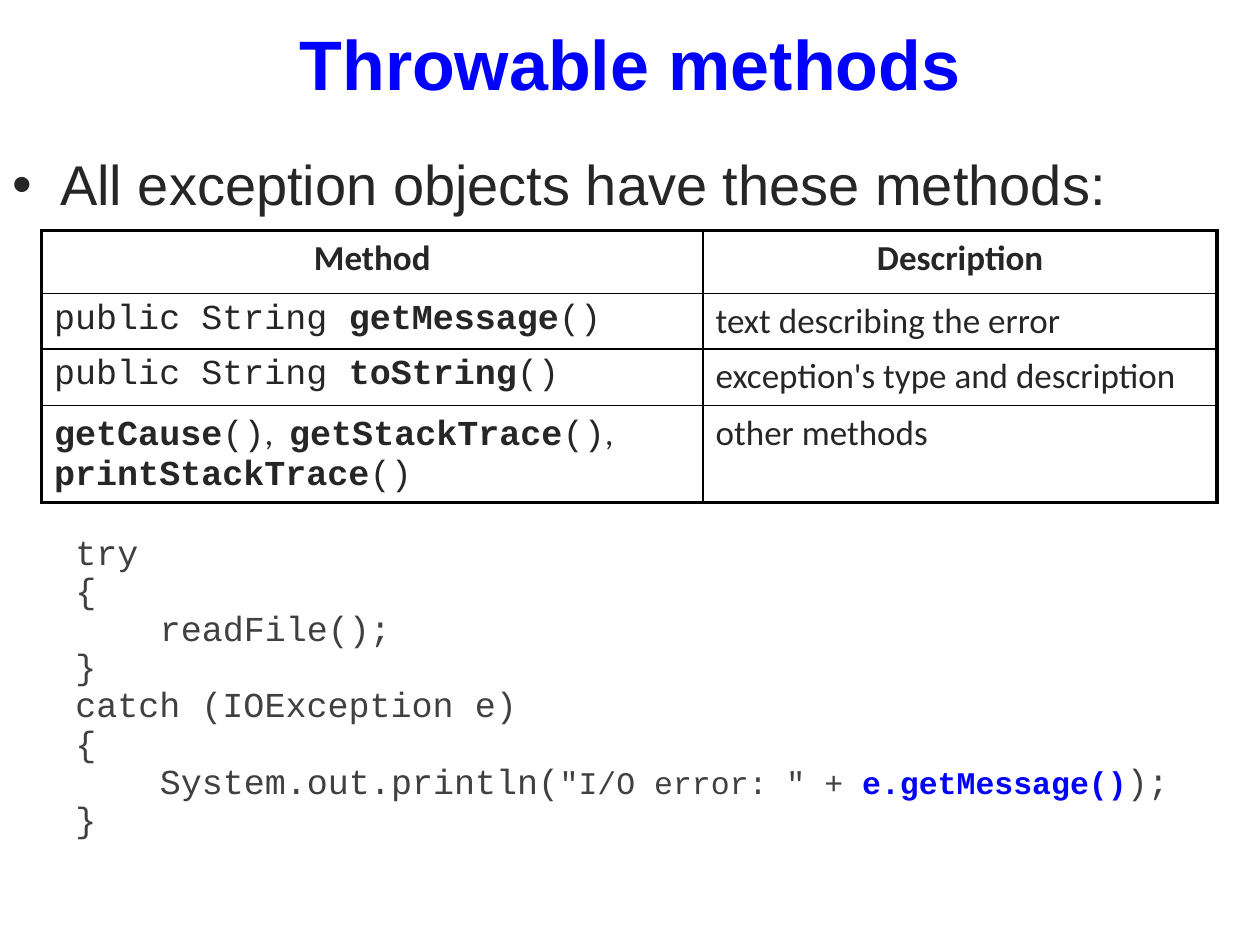
from lxml import etree
from pptx import Presentation
from pptx.dml.color import RGBColor
from pptx.enum.text import MSO_ANCHOR, PP_ALIGN
from pptx.oxml.ns import qn
from pptx.util import Inches, Pt

CENTER, LEFT = PP_ALIGN.CENTER, PP_ALIGN.LEFT
MIDDLE = MSO_ANCHOR.MIDDLE
BLUE, INK, GREY, BLACK = "0000FF", "262626", "404040", "000000"
SANS, TABLE_FONT, MONO = "Arial", "Calibri", "Courier New"

deck = Presentation()
deck.slide_width, deck.slide_height = Inches(10), Inches(7.5)
slide = deck.slides.add_slide(deck.slide_layouts[6])


def write(paragraph, text, size=20, font=MONO, color=INK, bold=False, align=LEFT):
    paragraph.alignment = align
    run = paragraph.add_run()
    run.text = text
    run.font.size, run.font.name, run.font.bold = Pt(size), font, bold
    run.font.color.rgb = RGBColor.from_string(color)


def text_frame(left, top, width, height, inset=0):
    frame = slide.shapes.add_textbox(*map(Inches, (left, top, width, height))).text_frame
    frame.word_wrap = True
    frame.margin_left = frame.margin_right = Inches(0.1)
    frame.margin_top = frame.margin_bottom = Inches(inset)
    return frame


title = text_frame(0.17, 0.08, 9.66, 0.83, inset=0.05)
title.vertical_anchor = MIDDLE
write(title.paragraphs[0], "Throwable methods", size=40, font=SANS, color=BLUE, bold=True, align=CENTER)

intro = text_frame(0, 1.2, 10, 0.6, inset=0.05).paragraphs[0]
intro.line_spacing = 0.9
write(intro, "All exception objects have these methods:", size=32, font=SANS)
intro_props = intro._p.get_or_add_pPr()
intro_props.set("marL", str(Inches(0.38)))
intro_props.set("indent", str(-Inches(0.38)))
etree.SubElement(intro_props, qn("a:buFont")).set("typeface", SANS)
etree.SubElement(intro_props, qn("a:buChar")).set("char", "•")

PLAIN, NAME, PROSE = {}, {"bold": True}, {"font": TABLE_FONT}
HEADING = {"font": TABLE_FONT, "bold": True, "align": CENTER}
method_rows = [
    [[("Method", HEADING)], [("Description", HEADING)]],
    [[("public String ", PLAIN), ("getMessage", NAME), ("()", PLAIN)],
     [("text describing the error", PROSE)]],
    [[("public String ", PLAIN), ("toString", NAME), ("()", PLAIN)],
     [("exception's type and description", PROSE)]],
    [[("getCause", NAME), ("()", PLAIN), (",  ", PROSE),
      ("getStackTrace", NAME), ("()", PLAIN), (", ", PROSE),
      ("printStackTrace", NAME), ("()", PLAIN)],
     [("other methods", PROSE)]],
]
column_widths, row_heights = [5.25, 4.08], [0.5, 0.44, 0.45, 0.77]
last_row, last_column = len(row_heights) - 1, len(column_widths) - 1
methods = slide.shapes.add_table(
    len(row_heights), len(column_widths), Inches(0.33), Inches(1.83),
    Inches(sum(column_widths)), Inches(sum(row_heights))).table
methods.first_row = methods.horz_banding = False
for column, width in zip(methods.columns, column_widths):
    column.width = Inches(width)
for row, height in zip(methods.rows, row_heights):
    row.height = Inches(height)

for r, row_content in enumerate(method_rows):
    for c, pieces in enumerate(row_content):
        cell = methods.cell(r, c)
        for text, style in pieces:
            write(cell.text_frame.paragraphs[0], text, **style)
        cell_props = cell._tc.get_or_add_tcPr()
        outer_edges = {"a:lnL": c == 0, "a:lnR": c == last_column,
                       "a:lnT": r == 0, "a:lnB": r == last_row}
        for edge, outer in outer_edges.items():
            border = etree.SubElement(cell_props, qn(edge))
            border.set("w", str(Pt(2.25 if outer else 1)))
            border_fill = etree.SubElement(border, qn("a:solidFill"))
            etree.SubElement(border_fill, qn("a:srgbClr")).set("val", BLACK)
        cell.fill.background()

CODE = {"color": GREY}
code_lines = [
    (0, [("try", CODE)]),
    (0, [("{", CODE)]),
    (1, [("readFile();", CODE)]),
    (0, [("}", CODE)]),
    (0, [("catch (IOException e)", CODE)]),
    (0, [("{", CODE)]),
    (1, [("System.out.println(", CODE),
         ('"I/O error: " + ', {"color": GREY, "size": 18}),
         ("e.getMessage()", {"color": BLUE, "size": 18, "bold": True}),
         (");", CODE)]),
    (0, [("}", CODE)]),
]
code = text_frame(0.5, 4.3, 9.5, 2.4)
for number, (depth, pieces) in enumerate(code_lines):
    line = code.add_paragraph() if number else code.paragraphs[0]
    line.line_spacing = 0.7
    line.space_before = Pt(5 if number else 0)
    line._p.get_or_add_pPr().set("marL", str(Inches(0.67 * depth)))
    for text, style in pieces:
        write(line, text, **style)

deck.save("out.pptx")
